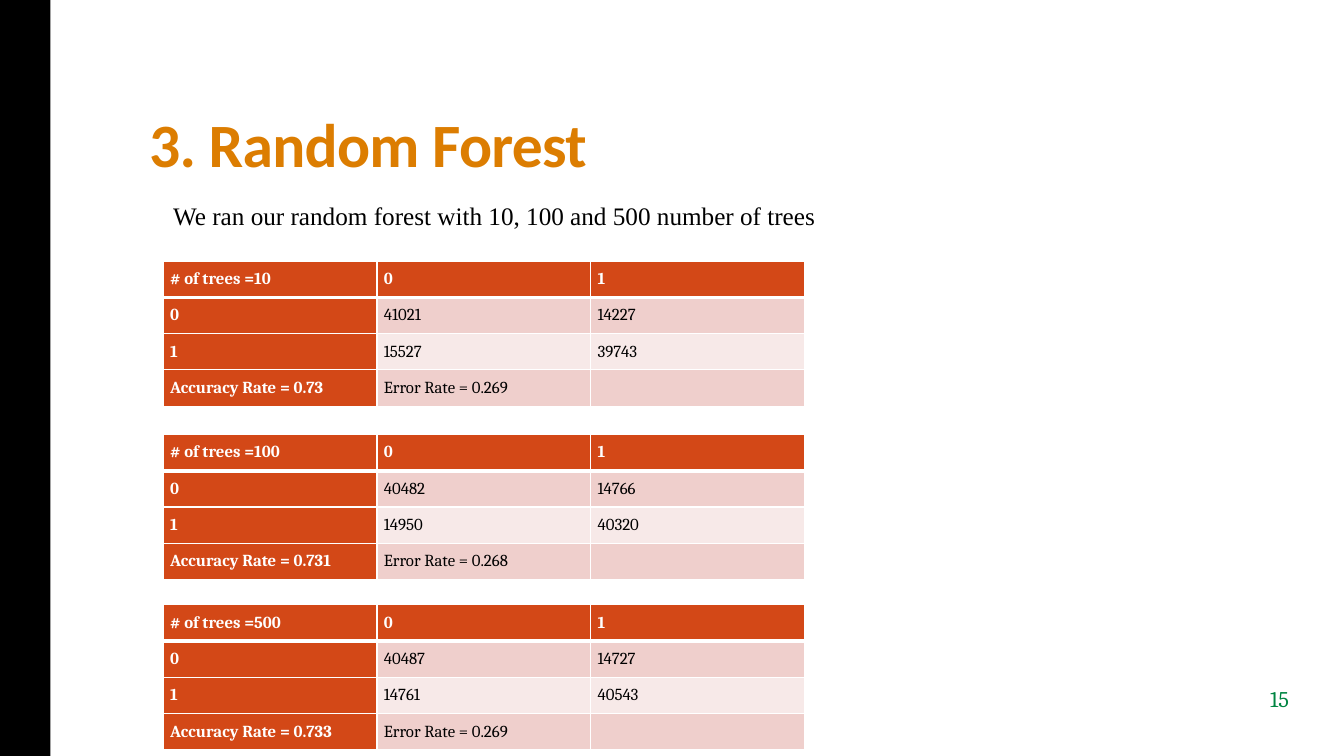
from lxml import etree
from pptx import Presentation
from pptx.dml.color import RGBColor
from pptx.enum.shapes import MSO_SHAPE
from pptx.enum.text import MSO_ANCHOR, PP_ALIGN
from pptx.oxml.ns import qn
from pptx.util import Pt

RECT = MSO_SHAPE.RECTANGLE
TOP, BOTTOM = MSO_ANCHOR.TOP, MSO_ANCHOR.BOTTOM
LEFT, CENTER = PP_ALIGN.LEFT, PP_ALIGN.CENTER

COLORS = {
    "black": "000000", "white": "FFFFFF", "title": "DC7D01", "number": "008542",
    "head": "D34817", "dark": "EFCFCC", "light": "F7E9E8",
}


def color(name):
    return RGBColor.from_string(COLORS[name])


class Style:
    def __init__(self, slide):
        self.slide = slide

    def font(self, run, face, size, tint, bold=False):
        font = run.font
        font.name, font.size, font.bold = face, Pt(size), bold
        font.color.rgb = color(tint)

    def bar(self, x, y, w, h, tint):
        shape = self.slide.shapes.add_shape(RECT, Pt(x), Pt(y), Pt(w), Pt(h))
        shape.shadow.inherit = False
        shape.fill.solid()
        shape.fill.fore_color.rgb = color(tint)
        shape.line.fill.background()

    def text(self, box, words, face, size, tint, bold=False,
             align=LEFT, anchor=TOP, space=1.0, track=0):
        frame = self.slide.shapes.add_textbox(*map(Pt, box)).text_frame
        frame.word_wrap = True
        frame.vertical_anchor = anchor
        frame.text = words
        para = frame.paragraphs[0]
        para.alignment, para.line_spacing = align, space
        run = para.runs[0]
        self.font(run, face, size, tint, bold)
        if track:
            run.font._element.set("spc", str(int(track * 100)))

    def border(self, cell, side, width):
        line = etree.SubElement(cell._tc.get_or_add_tcPr(), qn("a:ln" + side),
                                w=str(Pt(width)))
        fill = etree.SubElement(line, qn("a:solidFill"))
        etree.SubElement(fill, qn("a:srgbClr"), val=COLORS["white"])

    def cell(self, cell, words, row, col):
        head = row == 0 or col == 0
        cell.margin_left = cell.margin_right = Pt(5)
        cell.margin_top = cell.margin_bottom = Pt(5)
        # Thick rule between the header and the body
        for side in "LRTB":
            thick = (row, side) in ((0, "B"), (1, "T"))
            self.border(cell, side, 3 if thick else 1)
        cell.fill.solid()
        cell.fill.fore_color.rgb = color("head" if head else "dark" if row % 2 else "light")
        cell.text_frame.text = words
        para = cell.text_frame.paragraphs[0]
        para.line_spacing = 1.07
        for run in para.runs:
            self.font(run, "Cambria", 12, "white" if head else "black", head)
        if not words:
            etree.SubElement(para._p, qn("a:endParaRPr"), sz="1200")

    def table(self, x, y, width, height, rows):
        shape = self.slide.shapes.add_table(len(rows), len(rows[0]), Pt(x), Pt(y),
                                            Pt(width), Pt(height))
        for r, row in enumerate(rows):
            for c, words in enumerate(row):
                self.cell(shape.table.cell(r, c), words, r, c)


deck = Presentation()
deck.slide_width, deck.slide_height = Pt(960), Pt(540)
page = Style(deck.slides.add_slide(deck.slide_layouts[6]))

# Side bar and headings
page.bar(0, 0, 36, 540, "black")
page.text((99.4, 23, 763, 110), "3. Random Forest", "Calibri", 44, "title", True,
          anchor=BOTTOM, space=0.9, track=-0.5)
page.text((116.6, 139.7, 492, 29), "We ran our random forest with 10, 100 and 500 number of trees",
          "Times New Roman", 18, "black")

# One result grid for each number of trees
RESULTS = [
    (186.5, 10, (41021, 14227), (15527, 39743), 0.73, 0.269),
    (310.3, 100, (40482, 14766), (14950, 40320), 0.731, 0.268),
    (432, 500, (40487, 14727), (14761, 40543), 0.733, 0.269),
]
for top, trees, zero, one, right, wrong in RESULTS:
    page.table(116.6, top, 458, 103.7, [
        [f"# of trees ={trees}", "0", "1"],
        ["0", *map(str, zero)],
        ["1", *map(str, one)],
        [f"Accuracy Rate = {right}", f"Error Rate = {wrong}", ""],
    ])

# Slide number
page.text((868.3, 486, 91.4, 46.8), "15", "Cambria", 16, "number", align=CENTER)

deck.save("out.pptx")
